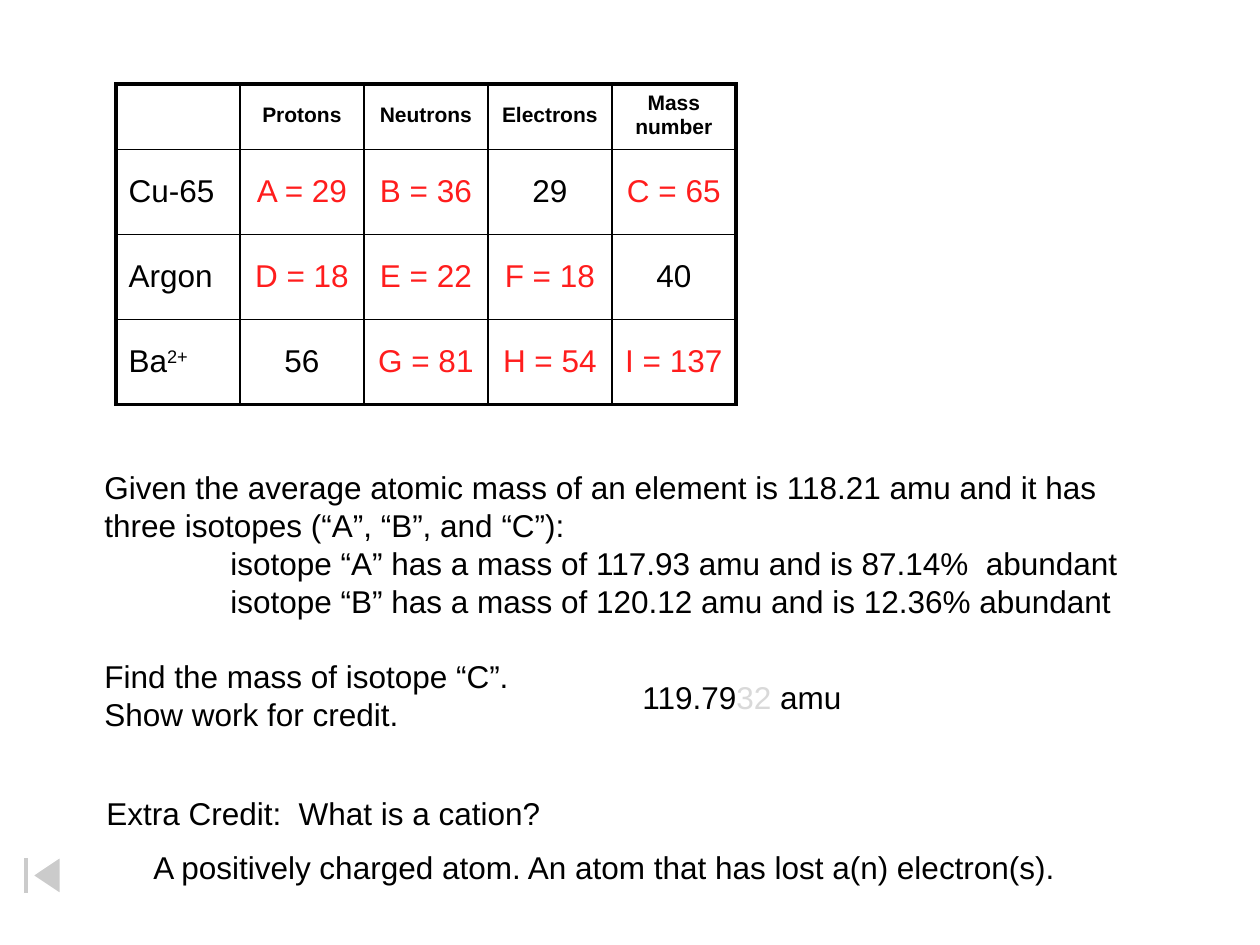
from dataclasses import dataclass

from lxml import etree
from pptx import Presentation
from pptx.dml.color import RGBColor
from pptx.enum.shapes import MSO_SHAPE
from pptx.enum.text import MSO_ANCHOR, MSO_AUTO_SIZE, PP_ALIGN
from pptx.oxml.ns import qn
from pptx.util import Emu, Pt

MIDDLE = MSO_ANCHOR.MIDDLE
LEFT, CENTER = PP_ALIGN.LEFT, PP_ALIGN.CENTER
GROW = MSO_AUTO_SIZE.SHAPE_TO_FIT_TEXT
BACK_BUTTON = MSO_SHAPE.ACTION_BUTTON_BEGINNING

FONT = "Arial"
BLACK, RED, PALE, WHITE = "000000", "FF1D1D", "D9D9D9", "FFFFFF"
THIN, THICK = 1, 2.25
EMU_PER_PX = 914400 / 126


@dataclass
class Piece:
    text: str
    color: str = BLACK
    superscript: bool = False


@dataclass
class Line:
    pieces: list[Piece]
    indent: int = 0  # px
    space_before: float = 0  # points


@dataclass
class TextBlock:
    left: int
    top: int
    width: int
    height: int
    lines: list[Line]


def px(length: int) -> Emu:
    return Emu(round(length * EMU_PER_PX))


def rgb(color: str) -> RGBColor:
    return RGBColor.from_string(color)


def fill_paragraph(paragraph, pieces: list[Piece], size: int = 18,
                   bold: bool = False, align=LEFT) -> None:
    paragraph.alignment = align
    font = paragraph.font
    font.name, font.size, font.bold = FONT, Pt(size), bold
    for piece in pieces:
        run = paragraph.add_run()
        run.text = piece.text
        run.font.color.rgb = rgb(piece.color)
        if piece.superscript:
            run._r.get_or_add_rPr().set("baseline", "30000")


def add_text_block(slide, block: TextBlock) -> None:
    box = slide.shapes.add_textbox(px(block.left), px(block.top),
                                   px(block.width), px(block.height))
    frame = box.text_frame
    frame.word_wrap = False
    frame.auto_size = GROW
    for i, line in enumerate(block.lines):
        paragraph = frame.paragraphs[0] if i == 0 else frame.add_paragraph()
        if line.indent:
            properties = paragraph._p.get_or_add_pPr()
            properties.set("marL", str(px(line.indent)))
            properties.set("indent", "0")
        if line.space_before:
            paragraph.space_before = Pt(line.space_before)
        fill_paragraph(paragraph, line.pieces)


def set_borders(cell, widths: dict[str, float]) -> None:
    properties = cell._tc.get_or_add_tcPr()
    for position, (side, width) in enumerate(widths.items()):
        border = etree.Element(qn(f"a:ln{side}"), w=str(Pt(width)))
        solid = etree.SubElement(border, qn("a:solidFill"))
        etree.SubElement(solid, qn("a:srgbClr"), val=BLACK)
        properties.insert(position, border)


def add_particle_table(slide, left: int, top: int, column_width: int,
                       row_heights: list[int], rows: list[list[list[Piece]]]) -> None:
    row_count, column_count = len(rows), len(rows[0])
    table = slide.shapes.add_table(
        row_count, column_count, px(left), px(top),
        px(column_width * column_count), px(sum(row_heights))).table
    table.first_row = table.horz_banding = False
    for column in table.columns:
        column.width = px(column_width)
    for r, (height, row) in enumerate(zip(row_heights, rows)):
        table.rows[r].height = px(height)
        is_header = r == 0
        for c, pieces in enumerate(row):
            cell = table.cell(r, c)
            cell.fill.background()
            cell.vertical_anchor = MIDDLE
            if is_header:
                cell.margin_top, cell.margin_bottom = px(6), px(9)
            fill_paragraph(cell.text_frame.paragraphs[0], pieces,
                           size=12 if is_header else 18, bold=is_header,
                           align=LEFT if c == 0 else CENTER)
            # The outer frame is thicker than the inner grid
            set_borders(cell, {
                "L": THICK if c == 0 else THIN,
                "R": THICK if c == column_count - 1 else THIN,
                "T": THICK if r == 0 else THIN,
                "B": THICK if r == row_count - 1 else THIN,
            })


def add_back_button(slide, left: int, top: int, width: int, height: int) -> None:
    button = slide.shapes.add_shape(BACK_BUTTON, px(left), px(top),
                                    px(width), px(height))
    button.shadow.inherit = False
    button.fill.solid()
    button.fill.fore_color.rgb = rgb(WHITE)
    fill_color = button._element.spPr.find(qn("a:solidFill"))[0]
    etree.SubElement(fill_color, qn("a:alpha"), val="50000")
    button.line.color.rgb = rgb(WHITE)
    button.line.width = Pt(0.75)


def given(text: str) -> list[Piece]:
    return [Piece(text)]


def answer(text: str) -> list[Piece]:
    return [Piece(text, RED)]


PARTICLES = [
    [[], given("Protons"), given("Neutrons"), given("Electrons"), given("Mass number")],
    [given("Cu-65"), answer("A = 29"), answer("B = 36"), given("29"), answer("C = 65")],
    [given("Argon"), answer("D = 18"), answer("E = 22"), answer("F = 18"), given("40")],
    [[Piece("Ba"), Piece("2+", superscript=True)],
     given("56"), answer("G = 81"), answer("H = 54"), answer("I = 137")],
]

ISOTOPE_QUESTION = TextBlock(92, 462, 1041, 315, [
    Line(given("Given the average atomic mass of an element is 118.21 amu and it has")),
    Line(given("three isotopes (“A”, “B”, and “C”):")),
    Line(given("isotope “A” has a mass of 117.93 amu and is 87.14%  abundant"), indent=126),
    Line(given("isotope “B” has a mass of 120.12 amu and is 12.36% abundant"), indent=126),
    Line(given("Find the mass of isotope “C”."), space_before=21.6),
    Line(given("Show work for credit.")),
])
EXTRA_CREDIT = TextBlock(94, 788, 460, 50, [
    Line(given("Extra Credit:  What is a cation?"))])
CATION_ANSWER = TextBlock(141, 842, 930, 50, [
    Line(given("A positively charged atom. An atom that has lost a(n) electron(s)."))])
MASS_ANSWER = TextBlock(630, 672, 227, 50, [
    Line([Piece("119.79"), Piece("32", PALE), Piece(" amu")])])


def main() -> None:
    deck = Presentation()
    deck.slide_width, deck.slide_height = px(1260), px(945)
    slide = deck.slides.add_slide(deck.slide_layouts[6])

    # Questions and their answers
    for block in (ISOTOPE_QUESTION, EXTRA_CREDIT, CATION_ANSWER, MASS_ANSWER):
        add_text_block(slide, block)

    # Particle counts
    add_particle_table(slide, 116, 84, 124, [63, 85, 85, 85], PARTICLES)

    # Navigation
    add_back_button(slide, 0, 851, 84, 49)

    deck.save("out.pptx")


if __name__ == "__main__":
    main()
